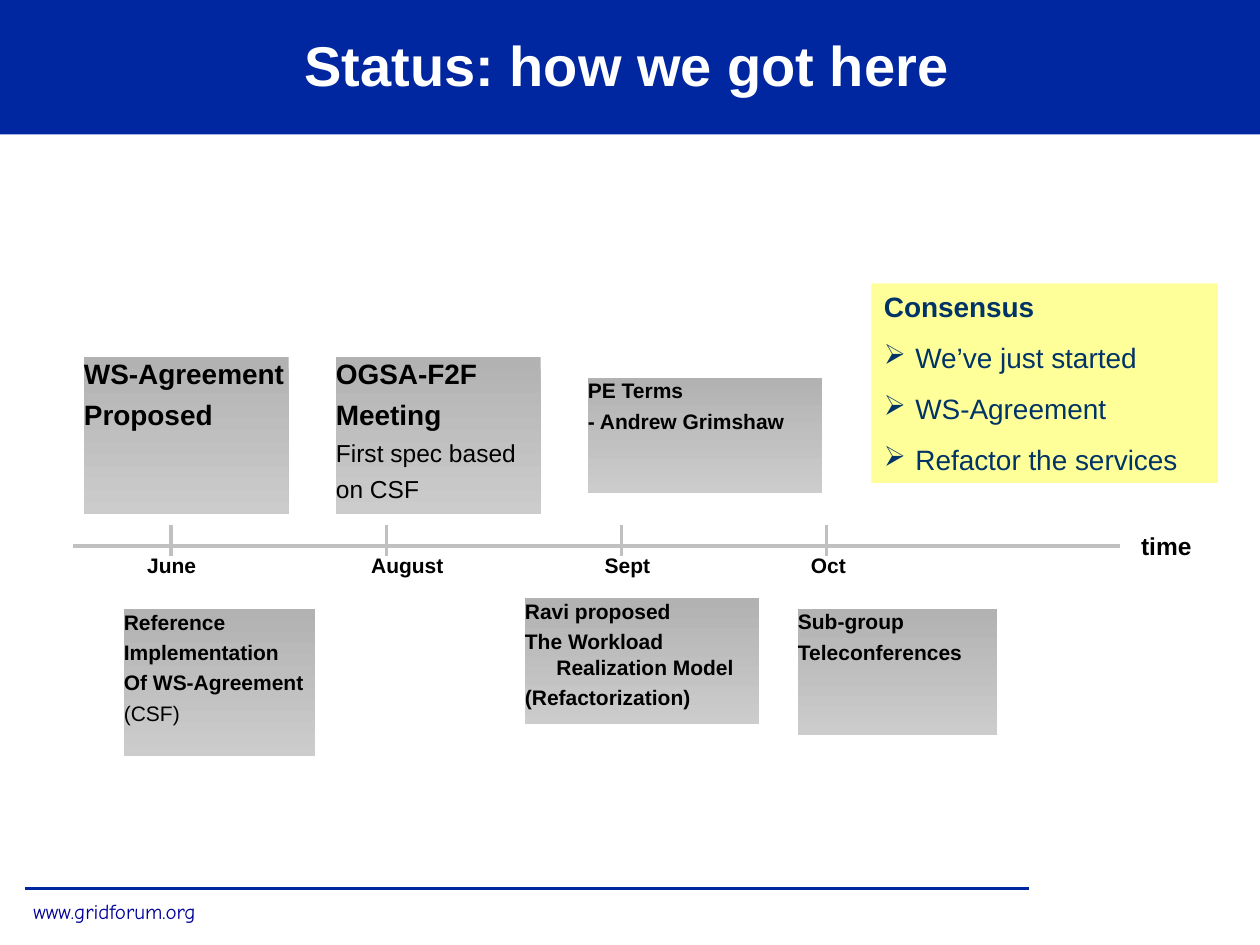
"""Build the project status timeline slide."""
from dataclasses import dataclass
from typing import NamedTuple

from lxml.etree import SubElement
from pptx import Presentation
from pptx.dml.color import RGBColor as RGB
from pptx.enum.shapes import MSO_CONNECTOR as CONN, MSO_SHAPE as SHAPE
from pptx.enum.text import MSO_ANCHOR as ANCHOR, PP_ALIGN as ALIGN
from pptx.oxml.ns import qn
from pptx.util import Inches, Pt

COLORS = {
    "navy": "00279F", "link": "000099", "white": "FFFFFF", "black": "000000",
    "axis": "C0C0C0", "top": "B2B2B2", "bottom": "CCCCCC",
    "note": "FFFF99", "ink": "003366",
}
CELL = Inches(1) / 12
COLS, ROWS = 120, 90
AXIS_ROW = 52
INDENT = Inches(0.25)


class Box(NamedTuple):
    col: float
    row: float
    cols: float
    rows: float


class Line(NamedTuple):
    text: str
    size: float = 12
    bold: bool = True


@dataclass
class Card:
    box: Box
    lines: list[Line]


@dataclass
class Month:
    name: str
    tick: float
    label: float
    width: float


CARDS = [
    Card(Box(50, 57, 22.3, 12), [Line("Ravi proposed"), Line("The Workload Realization Model"),
                                 Line("(Refactorization)")]),
    Card(Box(8, 34, 19.5, 15), [Line("WS-Agreement", 16), Line("Proposed", 16)]),
    Card(Box(11.8, 58, 18.2, 14), [Line("Reference"), Line("Implementation"),
                                   Line("Of WS-Agreement"), Line("(CSF)", bold=False)]),
    Card(Box(32, 34, 19.5, 15), [Line("OGSA-F2F", 16), Line("Meeting", 16),
                                 Line("First spec based", 14, False), Line("on CSF", 14, False)]),
    Card(Box(56, 36, 22.3, 11), [Line("PE Terms"), Line("- Andrew Grimshaw")]),
    Card(Box(76, 58, 19, 12), [Line("Sub-group"), Line("Teleconferences")]),
]
MONTHS = [
    Month("June", 16.3, 12.7, 7.3),
    Month("August", 36.8, 34, 9.6),
    Month("Sept", 59.2, 56.3, 6.9),
    Month("Oct", 78.7, 75.9, 6),
]
GOALS = ["We’ve just started", "WS-Agreement", "Refactor the services"]


def rgb(name: str) -> RGB:
    return RGB.from_string(COLORS[name])


def place(box: Box) -> list[int]:
    return [round(v * CELL) for v in box]


def add_text(tf, text: str, *, size: float = 12, bold: bool = True, color: str = "black",
             font: str = "Arial", align=ALIGN.LEFT, before: float = 0, after: float = 0,
             hanging: bool = False, bullet: str = "") -> None:
    first = not tf.text
    p = tf.paragraphs[0] if first else tf.add_paragraph()
    p.alignment = align
    p.space_before, p.space_after = Pt(0 if first else before), Pt(after)
    pPr = p._p.get_or_add_pPr()
    if hanging:
        pPr.set("marL", str(INDENT))
        pPr.set("indent", str(-INDENT))
    if bullet:
        clr = SubElement(pPr, qn("a:buClr"))
        SubElement(clr, qn("a:srgbClr")).set("val", COLORS[color])
        SubElement(pPr, qn("a:buChar")).set("char", bullet)
    r = p.add_run()
    r.text = text
    r.font.name, r.font.size, r.font.bold = font, Pt(size), bold
    r.font.color.rgb = rgb(color)


def add_label(s, box: Box, text: str, wrap: bool = False, anchor=ANCHOR.TOP, **fmt) -> None:
    tf = s.shapes.add_textbox(*place(box)).text_frame
    tf.word_wrap, tf.vertical_anchor = wrap, anchor
    add_text(tf, text, **fmt)


def add_rect(s, box: Box, fill: str = ""):
    sp = s.shapes.add_shape(SHAPE.RECTANGLE, *place(box))
    sp.shadow.inherit = False
    sp.line.fill.background()
    if fill:
        sp.fill.solid()
        sp.fill.fore_color.rgb = rgb(fill)
    else:
        sp.fill.gradient()
        sp.fill.gradient_angle = 270
        for stop, name in zip(sp.fill.gradient_stops, ("top", "bottom")):
            stop.color.rgb = rgb(name)
            stop.position = float(name == "bottom")
    sp.text_frame.word_wrap = True
    sp.text_frame.vertical_anchor = ANCHOR.TOP
    return sp


def add_line(s, x1: float, y1: float, x2: float, y2: float, color: str) -> None:
    ln = s.shapes.add_connector(CONN.STRAIGHT, *(round(v * CELL) for v in (x1, y1, x2, y2)))
    ln.line.color.rgb, ln.line.width = rgb(color), Pt(2)
    SubElement(ln._element.spPr, qn("a:effectLst"))


def add_card(s, card: Card) -> None:
    tf = add_rect(s, card.box).text_frame
    tf.margin_left = tf.margin_right = tf.margin_top = tf.margin_bottom = 0
    for line in card.lines:
        add_text(tf, line.text, size=line.size, bold=line.bold,
                 after=line.size / 4, hanging=True)


def add_month(s, month: Month) -> None:
    add_line(s, month.tick, AXIS_ROW - 2, month.tick, AXIS_ROW + 1, "axis")
    add_label(s, Box(month.label, AXIS_ROW, month.width, 3.6), month.name, align=ALIGN.CENTER)


def add_consensus(s) -> None:
    tf = add_rect(s, Box(83, 27, 33, 19), "note").text_frame
    fmt = dict(size=16, color="ink", before=10, hanging=True)
    add_text(tf, "Consensus", **fmt)
    for goal in GOALS:
        add_text(tf, goal, bold=False, bullet="➢", **fmt)


def main() -> None:
    prs = Presentation()
    prs.slide_width, prs.slide_height = round(COLS * CELL), round(ROWS * CELL)
    s = prs.slides.add_slide(prs.slide_layouts[6])
    add_rect(s, Box(0, 0, COLS, 12.8), "navy")
    add_line(s, 2.4, 84.6, 98, 84.6, "navy")
    add_label(s, Box(2, 85, 18, 3.6), "www.gridforum.org",
              bold=False, color="link", font="Comic Neue")
    add_label(s, Box(0, 0, 119.4, 12.2), "Status: how we got here", wrap=True,
              anchor=ANCHOR.MIDDLE, size=32, color="white", align=ALIGN.CENTER)
    add_line(s, 7, AXIS_ROW, 106.7, AXIS_ROW, "axis")
    add_label(s, Box(107.5, 50, 7.4, 4.1), "time", size=14)
    for card in CARDS:
        add_card(s, card)
    for month in MONTHS:
        add_month(s, month)
    add_consensus(s)
    prs.save("out.pptx")


if __name__ == "__main__":
    main()
